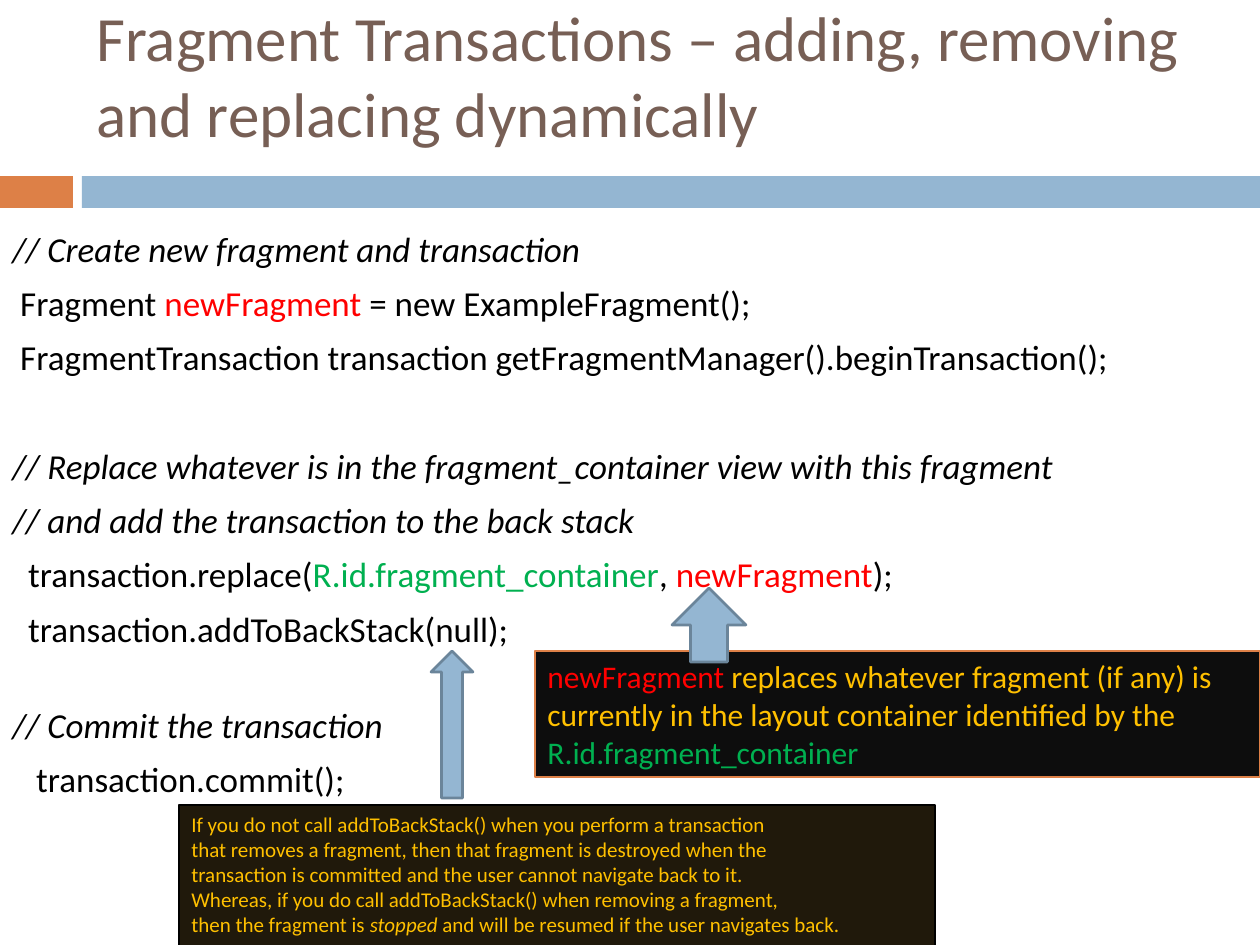
from pptx import Presentation
from pptx.dml.color import RGBColor
from pptx.enum.shapes import MSO_SHAPE
from pptx.enum.text import MSO_ANCHOR, MSO_AUTO_SIZE, PP_ALIGN
from pptx.util import Pt

RECTANGLE = MSO_SHAPE.RECTANGLE
UP_ARROW = MSO_SHAPE.UP_ARROW
TOP, MIDDLE = MSO_ANCHOR.TOP, MSO_ANCHOR.MIDDLE
FIT_SHAPE = MSO_AUTO_SIZE.SHAPE_TO_FIT_TEXT
LEFT = PP_ALIGN.LEFT

EMU_PER_PX = 914400 / 126
SLIDE_WIDTH, SLIDE_HEIGHT = 1260, 945
FONT = "Calibri"
BLACK, RED, GREEN, GOLD = "000000", "FF0000", "00B050", "FFC000"
ORANGE, BLUE, BROWN = "DD8047", "94B6D2", "775F55"

# Code sizes in points: space between lines, after a break, and between blocks
LINE_GAP, BREAK_GAP, BLOCK_GAP = 7, 31, 38

# Each paragraph is (space before, runs); each run is (text, colour, italic)
CODE = [
    (0, [("// Create new fragment and transaction", BLACK, True)]),
    (LINE_GAP, [(" Fragment ", BLACK, False), ("newFragment", RED, False),
                (" = new ExampleFragment();", BLACK, False)]),
    (LINE_GAP, [(" FragmentTransaction transaction "
                 "getFragmentManager().beginTransaction();", BLACK, False)]),
    (BLOCK_GAP, [("// Replace whatever is in the fragment_container view "
                  "with this fragment", BLACK, True)]),
    (LINE_GAP, [("// and add the transaction to the back stack", BLACK, True)]),
    (LINE_GAP, [("  transaction.replace(", BLACK, False),
                ("R.id.fragment_container", GREEN, False),
                (", ", BLACK, False), ("newFragment", RED, False),
                (");", BLACK, False)]),
    (LINE_GAP, [("  transaction.addToBackStack(null);", BLACK, False)]),
    (BREAK_GAP, [("// Commit the transaction", BLACK, True)]),
    (LINE_GAP, [("   transaction.commit();", BLACK, False)]),
]
REPLACE_NOTE = [
    (0, [("newFragment ", RED, False),
         ("replaces whatever fragment (if any) is currently in the layout "
          "container identified by the ", GOLD, False),
         ("R.id.fragment_container", GREEN, False)]),
]
BACK_STACK_NOTE = [
    (0, [("If you do not call addToBackStack() when you perform a transaction",
          GOLD, False)]),
    (0, [("that removes a fragment, then that fragment is destroyed when the \n"
          "transaction is committed and the user cannot navigate back to it. \n"
          "Whereas, if you do call addToBackStack() when removing a fragment, \n"
          "then the fragment is ", GOLD, False),
         ("stopped", GOLD, True),
         (" and will be resumed if the user navigates back.", GOLD, False)]),
]


def px(*lengths):
    return [round(length * EMU_PER_PX) for length in lengths]


def color(hex_string):
    return RGBColor.from_string(hex_string)


def set_attributes(target, values):
    for name, value in values.items():
        setattr(target, name, value)


def add_run(paragraph, text, size, hex_color, italic):
    for index, line in enumerate(text.split("\n")):
        if index:
            paragraph.add_line_break()
        run = paragraph.add_run()
        run.text = line
        set_attributes(run.font, {"name": FONT, "size": Pt(size), "italic": italic})
        run.font.color.rgb = color(hex_color)


def write_text(shape, paragraphs, size, **frame_values):
    frame = shape.text_frame
    set_attributes(frame, {"word_wrap": True, "vertical_anchor": TOP, **frame_values})
    for index, (space_before, runs) in enumerate(paragraphs):
        paragraph = frame.add_paragraph() if index else frame.paragraphs[0]
        set_attributes(paragraph, {"alignment": LEFT, "space_before": Pt(space_before)})
        for text, hex_color, italic in runs:
            add_run(paragraph, text, size, hex_color, italic)


def add_text(slide, box, paragraphs, size, **frame_values):
    shape = slide.shapes.add_textbox(*px(*box))
    write_text(shape, paragraphs, size, **frame_values)


def add_block(slide, kind, box, fill, line=None):
    shape = slide.shapes.add_shape(kind, *px(*box))
    shape.shadow.inherit = False
    shape.fill.solid()
    shape.fill.fore_color.rgb = color(fill)
    if line:
        shape.line.color.rgb = color(line)
        shape.line.width = Pt(1.5)
    else:
        shape.line.fill.background()
    return shape


def add_note(slide, box, fill, line, paragraphs, size):
    shape = add_block(slide, RECTANGLE, box, fill, line)
    write_text(shape, paragraphs, size, auto_size=FIT_SHAPE)


def add_up_arrow(slide, box):
    add_block(slide, UP_ARROW, box, BLUE, "6B859A")


def main():
    presentation = Presentation()
    width, height = px(SLIDE_WIDTH, SLIDE_HEIGHT)
    set_attributes(presentation, {"slide_width": width, "slide_height": height})
    slide = presentation.slides.add_slide(presentation.slide_layouts[6])

    # Band under the title
    add_block(slide, RECTANGLE, (0, 176, 73, 32), ORANGE)
    add_block(slide, RECTANGLE, (82, 176, 1178, 32), BLUE)

    # Title and code
    title = "Fragment Transactions – adding, removing and replacing dynamically"
    add_text(slide, (84, 53, 1124, 42), [(0, [(title, BROWN, False)])], 36,
             vertical_anchor=MIDDLE)
    add_text(slide, (0, 221, 1260, 620), CODE, 20)

    # Notes with the arrows that point at the code
    add_note(slide, (535, 651, 725, 126), "0D0D0D", ORANGE, REPLACE_NOTE, 18)
    add_up_arrow(slide, (672, 588, 74, 74))
    add_note(slide, (179, 805, 756, 164), "20190B", BLACK, BACK_STACK_NOTE, 12)
    add_up_arrow(slide, (431, 651, 42, 147))

    presentation.save("out.pptx")


if __name__ == "__main__":
    main()
